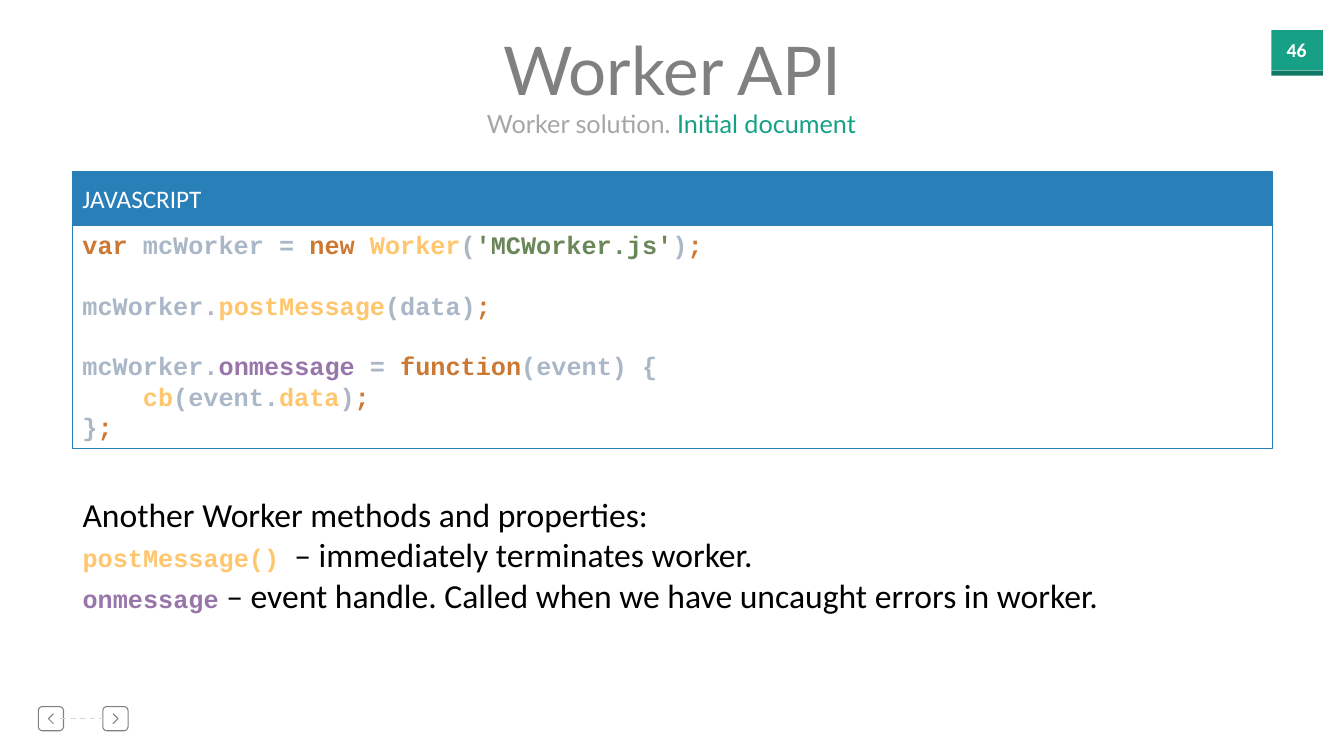
from lxml import etree
from pptx import Presentation
from pptx.dml.color import RGBColor
from pptx.enum.dml import MSO_LINE
from pptx.enum.shapes import MSO_CONNECTOR, MSO_SHAPE
from pptx.enum.text import MSO_ANCHOR, MSO_AUTO_SIZE, PP_ALIGN
from pptx.oxml.ns import qn
from pptx.util import Pt

DASH = MSO_LINE.DASH
STRAIGHT = MSO_CONNECTOR.STRAIGHT
RECTANGLE, ROUNDED = MSO_SHAPE.RECTANGLE, MSO_SHAPE.ROUNDED_RECTANGLE
TOP, MIDDLE = MSO_ANCHOR.TOP, MSO_ANCHOR.MIDDLE
LEFT, CENTER = PP_ALIGN.LEFT, PP_ALIGN.CENTER
FIXED = MSO_AUTO_SIZE.NONE

WHITE = RGBColor(0xFF, 0xFF, 0xFF)
BLACK = RGBColor(0, 0, 0)
GRAY = RGBColor(0x80, 0x80, 0x80)
SILVER = RGBColor(0xA6, 0xA6, 0xA6)
PALE = RGBColor(0xD9, 0xD9, 0xD9)
GREEN = RGBColor(0x16, 0xA0, 0x85)
DARK_GREEN = RGBColor(0x10, 0x78, 0x64)
BLUE = RGBColor(0x29, 0x80, 0xB9)
KEYWORD = RGBColor(0xCC, 0x78, 0x32)
PLAIN = RGBColor(0xA9, 0xB7, 0xC6)
METHOD = RGBColor(0xFF, 0xC6, 0x6D)
STRING = RGBColor(0x6A, 0x87, 0x59)
PROPERTY = RGBColor(0x98, 0x76, 0xAA)

PX = 9144
SLIDE_SIZE = (1333, 750)
TITLE = "Worker API"
SUBTITLE = [("Worker solution. ", SILVER), ("Initial document", GREEN)]
PAGE_NUMBER = "46"
LANGUAGE = "JAVASCRIPT"
CODE_LINES = [
    [("var ", KEYWORD), ("mcWorker = ", PLAIN), ("new ", KEYWORD), ("Worker", METHOD),
     ("(", PLAIN), ("'MCWorker.js'", STRING), (")", PLAIN), (";", KEYWORD)],
    [],
    [("mcWorker.", PLAIN), ("postMessage", METHOD), ("(data)", PLAIN), (";", KEYWORD)],
    [],
    [("mcWorker.", PLAIN), ("onmessage ", PROPERTY), ("= ", PLAIN),
     ("function", KEYWORD), ("(event) {", PLAIN)],
    [("    ", PLAIN), ("cb", METHOD), ("(event.", PLAIN), ("data", METHOD),
     (")", PLAIN), (";", KEYWORD)],
    [("}", PLAIN), (";", KEYWORD)],
]
NOTES_HEADING = "Another Worker methods and properties:"
MEMBERS = [
    ("postMessage() ", METHOD, "– immediately terminates worker."),
    ("onmessage", PROPERTY, " – event handle. Called when we have uncaught errors in worker."),
]

TITLE_BOX = (487, 23, 360, 91)
SUBTITLE_BOX = (467, 103, 398, 40)
NOTES_BOX = (72, 485, 1118, 131)
HEADER_BOX = (72, 170, 1190, 54)
CODE_BOX = (72, 223, 1190, 222)
BADGE_BOX = (1261, 30, 51, 40)
BADGE_EDGE_BOX = (1261, 70, 51, 5)
BADGE_TEXT_BOX = (1264, 33, 44, 34)
BUTTON_TOP, BUTTON_WIDTH, BUTTON_HEIGHT = 701, 25, 24
BUTTONS = [(38, [(53, 708), (48, 713), (53, 718)]),
           (102, [(112, 708), (117, 713), (112, 718)])]
DASH_START = (60, 713)


def scaled(values):
    """Turn px lengths into EMU."""
    return [value * PX for value in values]


def set_font(font, name, size, color=None, bold=False):
    """Set the face, size, weight and optional colour of a font."""
    font.name, font.size, font.bold = name, Pt(size), bold
    if color is not None:
        font.color.rgb = color


def add_spans(para, spans):
    """Append coloured runs to a paragraph."""
    for text, color in spans:
        span = para.add_run()
        span.text = text
        span.font.color.rgb = color


def prepare(shape, align, anchor=TOP, wrap=True):
    """Set up a shape's text frame and return its first paragraph."""
    frame = shape.text_frame
    frame.auto_size = FIXED
    frame.word_wrap = wrap
    frame.vertical_anchor = anchor
    frame.paragraphs[0].alignment = align
    return frame.paragraphs[0]


def add_box(page, kind, box, fill=None, line=None):
    """Add a preset shape without a shadow."""
    shape = page.shapes.add_shape(kind, *scaled(box))
    style(shape, fill, line)
    return shape


def style(shape, fill, line):
    """Set fill and outline, leaving out whichever is None."""
    shape.shadow.inherit = False
    if fill is None:
        shape.fill.background()
    else:
        shape.fill.solid()
        shape.fill.fore_color.rgb = fill
    if line is None:
        shape.line.fill.background()
    else:
        shape.line.color.rgb = line
        shape.line.width = Pt(0.75)


def add_headings(page):
    """Fill the title placeholder and add the subtitle."""
    title = page.shapes.title
    title.left, title.top, title.width, title.height = scaled(TITLE_BOX)
    para = prepare(title, CENTER, wrap=False)
    para.text = TITLE
    set_font(para.font, "Lato", 48, GRAY)
    para = prepare(page.shapes.add_textbox(*scaled(SUBTITLE_BOX)), CENTER, wrap=False)
    set_font(para.font, "Lato", 18)
    add_spans(para, SUBTITLE)


def add_badge(page):
    """Add the page number badge."""
    add_box(page, RECTANGLE, BADGE_BOX, GREEN)
    add_box(page, RECTANGLE, BADGE_EDGE_BOX, DARK_GREEN)
    para = prepare(page.shapes.add_textbox(*scaled(BADGE_TEXT_BOX)), CENTER, wrap=False)
    para.text = PAGE_NUMBER
    set_font(para.font, "Calibri", 14, WHITE, True)


def add_navigation(page):
    """Add the two arrow buttons and the dashed link between them."""
    for left, points in BUTTONS:
        button = add_box(page, ROUNDED, (left, BUTTON_TOP, BUTTON_WIDTH, BUTTON_HEIGHT), line=GRAY)
        builder = page.shapes.build_freeform(*points[0], scale=PX)
        builder.add_line_segments(points[1:], close=False)
        style(builder.convert_to_shape(), None, GRAY)
    link = page.shapes.add_connector(STRAIGHT, *scaled(DASH_START * 2))
    link.end_connect(button, 1)
    link.line.color.rgb = PALE
    link.line.width = Pt(1)
    link.line.dash_style = DASH
    etree.SubElement(link._element.spPr, qn("a:effectLst"))


def add_code(page):
    """Add the code panel and its header."""
    panel = add_box(page, RECTANGLE, CODE_BOX, WHITE, BLUE)
    color = panel._element.spPr.find(qn("a:solidFill"))[0]
    etree.SubElement(color, qn("a:alpha"), val="90000")
    para = prepare(panel, LEFT)
    set_font(para.font, "Courier New", 18, PLAIN, True)
    for index, spans in enumerate(CODE_LINES):
        if index:
            para.add_line_break()
        add_spans(para, spans)
    header = add_box(page, RECTANGLE, HEADER_BOX, BLUE, BLUE)
    para = prepare(header, LEFT, MIDDLE)
    para.text = LANGUAGE
    set_font(para.font, "Calibri", 18, WHITE)


def add_notes(page):
    """Add the list of further worker members."""
    box = page.shapes.add_textbox(*scaled(NOTES_BOX))
    para = prepare(box, LEFT)
    para.text = NOTES_HEADING
    set_font(para.font, "Calibri", 24, BLACK)
    for name, color, meaning in MEMBERS:
        para = box.text_frame.add_paragraph()
        add_spans(para, [(name, color), (meaning, BLACK)])
        set_font(para.runs[0].font, "Courier New", 18, bold=True)
        set_font(para.runs[1].font, "Calibri", 24)


def main():
    """Build and save the slide."""
    deck = Presentation()
    deck.slide_width, deck.slide_height = scaled(SLIDE_SIZE)
    page = deck.slides.add_slide(deck.slide_layouts[5])
    add_badge(page)
    add_navigation(page)
    add_headings(page)
    add_notes(page)
    add_code(page)
    deck.save("out.pptx")


if __name__ == "__main__":
    main()
